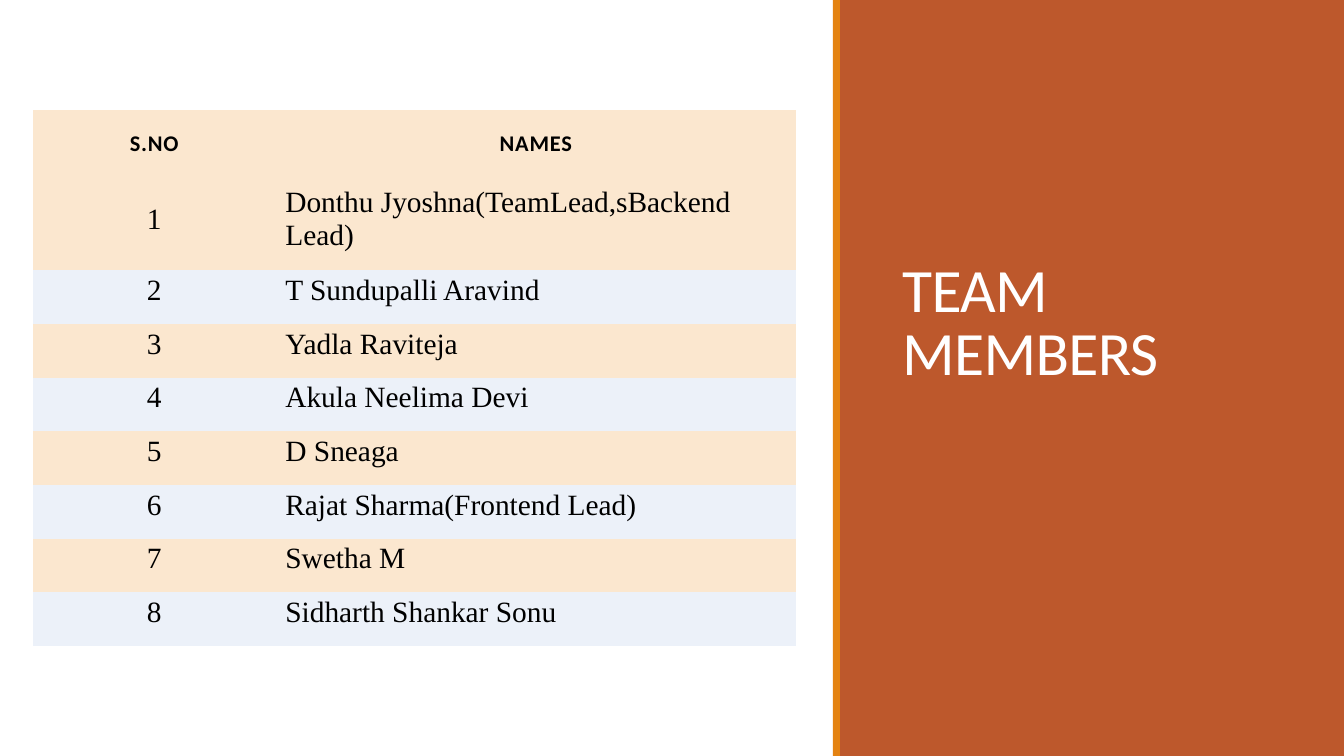
from dataclasses import dataclass
from typing import Any

from pptx import Presentation
from pptx.dml.color import RGBColor
from pptx.enum.shapes import MSO_SHAPE
from pptx.enum.text import MSO_ANCHOR, PP_ALIGN
from pptx.util import Inches, Pt

COLORS = {
    "rust": "BD582C",
    "orange": "E48312",
    "cream": "FBE7CF",
    "ice": "ECF1F9",
    "white": "FFFFFF",
    "black": "000000",
}
NO_STYLE_NO_GRID = "{2D5ABB26-0587-4C30-8999-92F81FD0307C}"
NAMES = [
    "Donthu Jyoshna(TeamLead,sBackend Lead)",
    "T Sundupalli Aravind",
    "Yadla Raviteja",
    "Akula Neelima Devi",
    "D Sneaga",
    "Rajat Sharma(Frontend Lead)",
    "Swetha M",
    "Sidharth Shankar Sonu",
]


@dataclass
class Band:
    left: float
    width: float
    color: str


@dataclass
class TextStyle:
    font: dict[str, Any]
    color: str
    spacing: int = 0


@dataclass
class CellStyle:
    text: TextStyle
    layout: dict[str, Any]


BANDS = [Band(8.33, 5, "rust"), Band(8.26, 0.07, "orange")]
TITLE = TextStyle({"name": "Calibri", "size": Pt(44)}, "white", -50)
HEADER = CellStyle(
    TextStyle({"name": "Calibri", "size": Pt(16), "bold": True}, "black", 60),
    {
        "margin_left": Inches(0.2),
        "margin_right": Inches(0.2),
        "margin_top": Inches(0.2),
        "margin_bottom": Inches(0.2),
        "vertical_anchor": MSO_ANCHOR.TOP,
    },
)
BODY = CellStyle(
    TextStyle({"name": "Times New Roman", "size": Pt(21), "bold": False}, "black"),
    {
        "margin_left": Inches(0.1),
        "margin_right": Inches(0.1),
        "margin_top": 0,
        "margin_bottom": Inches(0.13),
        "vertical_anchor": MSO_ANCHOR.MIDDLE,
    },
)


def rgb(name: str) -> RGBColor:
    return RGBColor.from_string(COLORS[name])


def apply(target: Any, values: dict[str, Any]) -> None:
    for name, value in values.items():
        setattr(target, name, value)


def write(p: Any, text: str, style: TextStyle) -> None:
    r = p.add_run()
    r.text = text
    apply(r.font, style.font)
    r.font.color.rgb = rgb(style.color)
    if style.spacing:
        r._r.get_or_add_rPr().set("spc", str(style.spacing))


def add_band(s: Any, band: Band, height: int) -> None:
    sp = s.shapes.add_shape(
        MSO_SHAPE.RECTANGLE, Inches(band.left), 0, Inches(band.width), height
    )
    sp.shadow.inherit = False
    sp.fill.solid()
    sp.fill.fore_color.rgb = rgb(band.color)
    sp.line.fill.background()


def add_title(s: Any, text: str) -> None:
    sp = s.shapes.add_textbox(Inches(8.85), Inches(0.7), Inches(4), Inches(3.2))
    tf = sp.text_frame
    apply(tf, {"word_wrap": True, "vertical_anchor": MSO_ANCHOR.BOTTOM})
    p = tf.paragraphs[0]
    apply(p, {"line_spacing": 0.85, "space_after": Pt(6)})
    write(p, text, TITLE)


def add_members(s: Any) -> None:
    rows = [("S.NO", "NAMES")]
    rows += [(str(number), name) for number, name in enumerate(NAMES, 1)]
    widths = [2.4, 5.17]
    height, first_heights = 5.32, [0.71, 0.88]
    others = len(rows) - len(first_heights)
    heights = first_heights + [(height - sum(first_heights)) / others] * others

    frame = s.shapes.add_table(
        len(rows), len(widths), Inches(0.33), Inches(1.09),
        Inches(sum(widths)), Inches(height),
    )
    table = frame.table
    table._tbl.tblPr.find("{*}tableStyleId").text = NO_STYLE_NO_GRID
    for column, width in zip(table.columns, widths):
        column.width = Inches(width)

    for i, (values, row_height) in enumerate(zip(rows, heights)):
        table.rows[i].height = Inches(row_height)
        style = BODY if i else HEADER
        fill = "ice" if i and i % 2 == 0 else "cream"
        for j, value in enumerate(values):
            cell = table.cell(i, j)
            apply(cell, style.layout)
            cell.fill.solid()
            cell.fill.fore_color.rgb = rgb(fill)
            p = cell.text_frame.paragraphs[0]
            p.alignment = PP_ALIGN.LEFT if i and j else PP_ALIGN.CENTER
            write(p, value, style.text)


def main() -> None:
    prs = Presentation()
    prs.slide_width, prs.slide_height = Inches(13.33), Inches(7.5)
    s = prs.slides.add_slide(prs.slide_layouts[6])
    for band in BANDS:
        add_band(s, band, prs.slide_height)
    add_title(s, "TEAM MEMBERS")
    add_members(s)
    prs.save("out.pptx")


if __name__ == "__main__":
    main()
